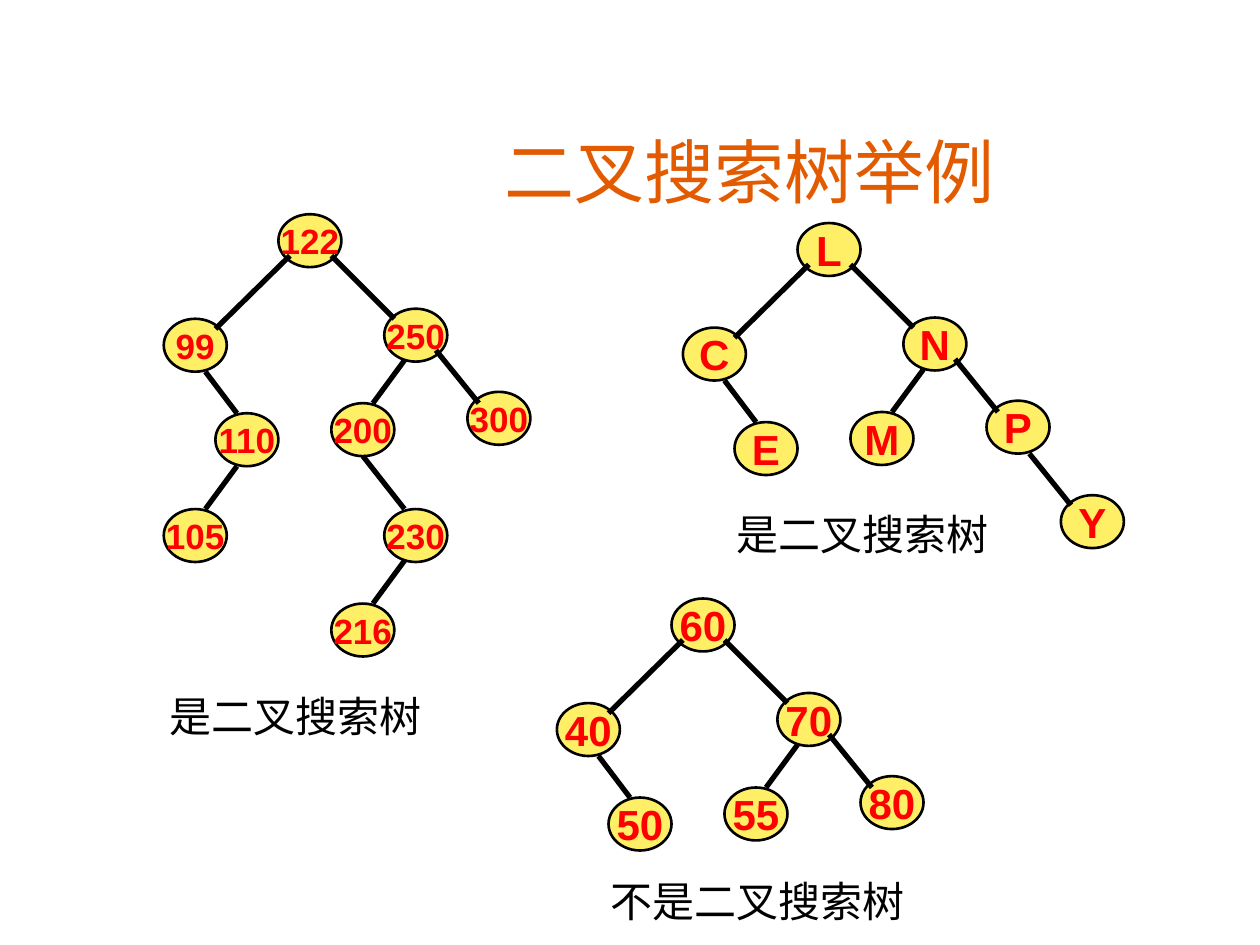
"""Build a slide with three example trees, two of which are binary search trees."""
import pptx
import pptx.dml.color
import pptx.enum.shapes
import pptx.enum.text
import pptx.oxml
import pptx.oxml.ns
import pptx.util

Inches = pptx.util.Inches
RGBColor = pptx.dml.color.RGBColor
MSO_ANCHOR = pptx.enum.text.MSO_ANCHOR
PP_ALIGN = pptx.enum.text.PP_ALIGN
MSO_AUTO_SIZE = pptx.enum.text.MSO_AUTO_SIZE

ORANGE = RGBColor(0xE2, 0x5B, 0x00)
YELLOW = RGBColor(0xFF, 0xEF, 0x66)
RED = RGBColor(0xFF, 0x00, 0x00)
BLACK = RGBColor(0x00, 0x00, 0x00)
NODE_WIDTH, NODE_HEIGHT = 0.5, 0.42


def write(shape, text, color, font_format, frame_format, para_format):
    """Put one formatted paragraph into a shape."""
    frame = shape.text_frame
    para = frame.paragraphs[0]
    span = para.add_run()
    span.text = text
    span.font.color.rgb = color
    for target, values in ((frame, frame_format), (para, para_format), (span.font, font_format)):
        for name, value in values.items():
            setattr(target, name, value)


deck = pptx.Presentation()
deck.slide_width, deck.slide_height = Inches(10), Inches(7.5)
page = deck.slides.add_slide(deck.slide_layouts[5])

title = page.shapes.title
title.left, title.top, title.width, title.height = map(Inches, (1.7, 0.49, 8.5, 1.25))
write(title, "二叉搜索树举例", ORANGE,
      {"name": "Comic Neue", "size": pptx.util.Pt(40)},
      {"vertical_anchor": MSO_ANCHOR.BOTTOM, "word_wrap": True, "auto_size": MSO_AUTO_SIZE.NONE},
      {"alignment": PP_ALIGN.CENTER})

base_nodes = [(0, 0), (0.84, 0.75), (1.5, 1.41), (-0.5, 1.58), (0.42, 1.5), (-0.91, 0.83)]
base_edges = [
    (0.09, 0.33, -0.5, 0.91),
    (0.42, 0.33, 0.92, 0.83),
    (1.25, 1.08, 1.59, 1.5),
    (1, 1.16, 0.75, 1.5),
    (-0.58, 1.25, -0.33, 1.58),
]
trees = [
    {"root": (6.33, 1.77), "size": 24, "labels": ["L", "N", "P", "E", "M", "C", "Y"],
     "nodes": [(2.09, 2.16)],
     "edges": [(1.84, 1.83, 2.17, 2.24)]},
    {"root": (2.21, 1.7), "size": 20,
     "labels": ["122", "250", "300", "110", "200", "99", "105", "230", "216"],
     "nodes": [(-0.91, 2.34), (0.84, 2.34), (0.42, 3.09)],
     "edges": [(-0.33, 2, -0.58, 2.34), (0.67, 1.92, 1, 2.34), (1, 2.75, 0.75, 3.09)]},
    {"root": (5.33, 4.75), "size": 24, "labels": ["60", "70", "80", "50", "55", "40"],
     "nodes": [], "edges": []},
]

for tree in trees:
    group = page.shapes.add_group_shape()
    root_x, root_y = tree["root"]
    for label, (x, y) in zip(tree["labels"], base_nodes + tree["nodes"]):
        node = group.shapes.add_shape(
            pptx.enum.shapes.MSO_SHAPE.OVAL, Inches(root_x + x), Inches(root_y + y),
            Inches(NODE_WIDTH), Inches(NODE_HEIGHT))
        node.shadow.inherit = False
        node.fill.solid()
        node.fill.fore_color.rgb = YELLOW
        node.line.color.rgb = BLACK
        node.line.width = pptx.util.Pt(1.5)
        write(node, label, RED,
              {"name": "Arial", "size": pptx.util.Pt(tree["size"]), "bold": True},
              {"vertical_anchor": MSO_ANCHOR.MIDDLE, "word_wrap": False},
              {"alignment": PP_ALIGN.CENTER})
    for x1, y1, x2, y2 in base_edges + tree["edges"]:
        edge = group.shapes.add_connector(
            pptx.enum.shapes.MSO_CONNECTOR.STRAIGHT,
            Inches(root_x + x1), Inches(root_y + y1), Inches(root_x + x2), Inches(root_y + y2))
        edge.line.color.rgb = BLACK
        edge.line.width = pptx.util.Pt(3)
        properties = edge.element.find(pptx.oxml.ns.qn("p:spPr"))
        properties.append(pptx.oxml.parse_xml(f"<a:effectLst {pptx.oxml.ns.nsdecls('a')}/>"))

captions = [
    ("是二叉搜索树", 1.25, 5.43, 2.33),
    ("是二叉搜索树", 5.75, 3.99, 2.33),
    ("不是二叉搜索树", 4.75, 6.9, 2.75),
]
for text, left, top, width in captions:
    box = page.shapes.add_textbox(Inches(left), Inches(top), Inches(width), Inches(0.5))
    write(box, text, BLACK,
          {"name": "Arial", "size": pptx.util.Pt(24)},
          {"word_wrap": True, "auto_size": MSO_AUTO_SIZE.SHAPE_TO_FIT_TEXT},
          {"space_before": pptx.util.Pt(15)})

deck.save("out.pptx")
